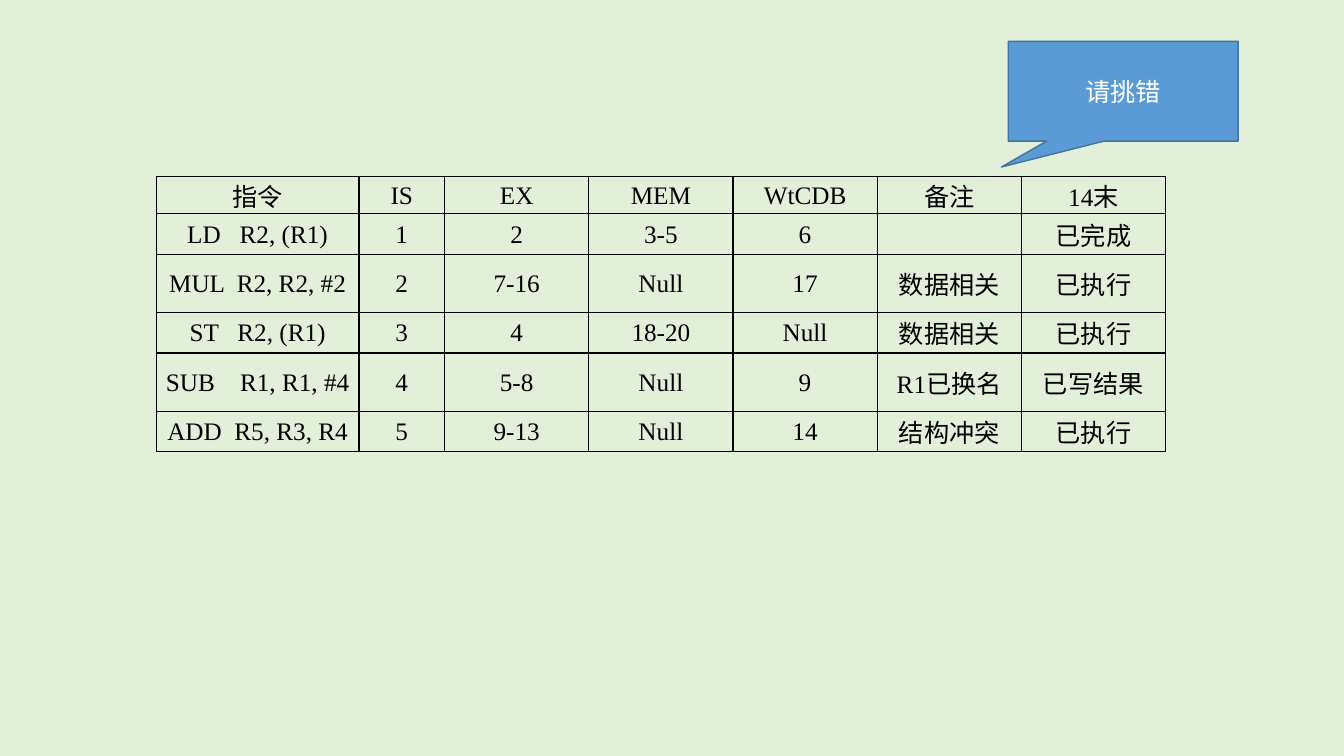
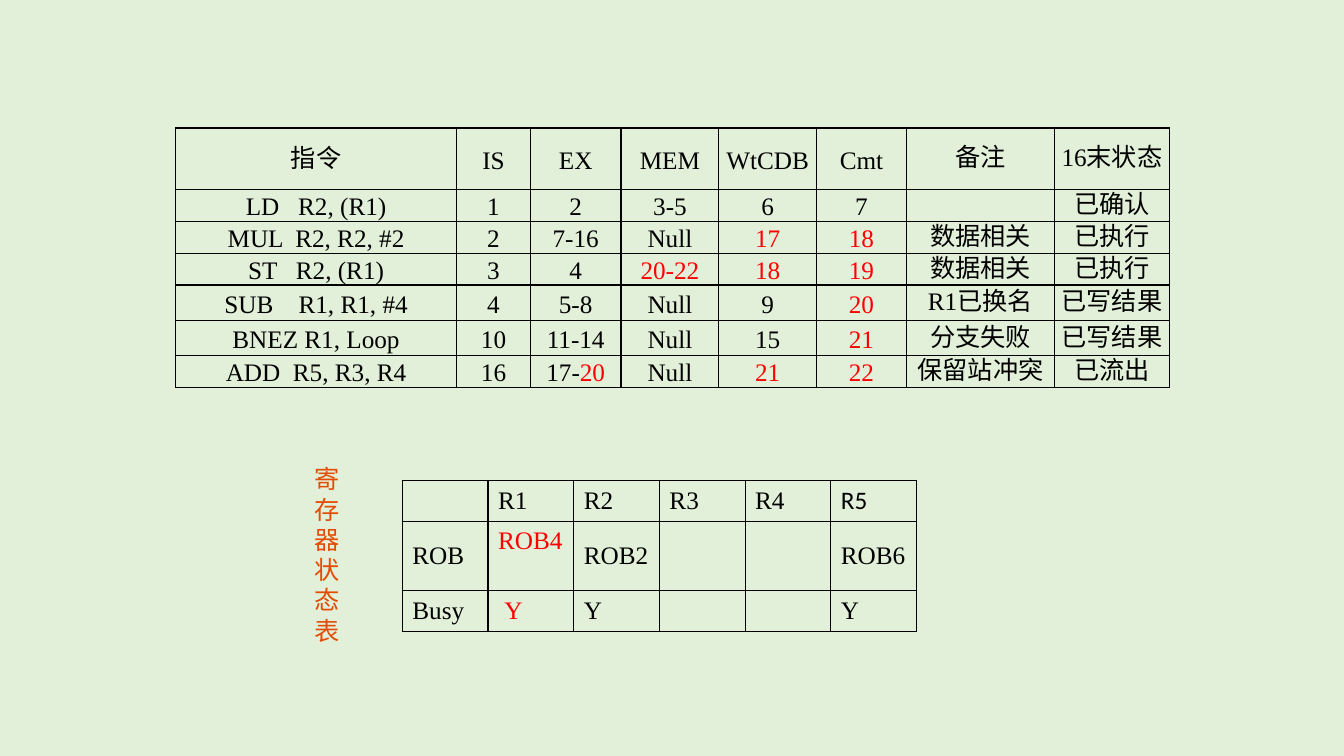
import pptx
import pptx.util
import pptx.dml.color
import pptx.enum.shapes
import pptx.enum.text
import pptx.oxml
import pptx.oxml.ns

Inches, Pt = pptx.util.Inches, pptx.util.Pt
RGBColor = pptx.dml.color.RGBColor
PP_ALIGN = pptx.enum.text.PP_ALIGN
MSO_ANCHOR = pptx.enum.text.MSO_ANCHOR

BACKGROUND = RGBColor(0xE2, 0xF0, 0xD9)
BLACK = RGBColor(0, 0, 0)
RED = RGBColor(0xFF, 0, 0)
WHITE = RGBColor(0xFF, 0xFF, 0xFF)
ORANGE = RGBColor(0xE2, 0x4C, 0x05)
BLUE = RGBColor(0x5B, 0x9B, 0xD5)
DARK_BLUE = RGBColor(0x43, 0x73, 0x9E)

SERIF, SANS, CJK = "Times New Roman", "Calibri", "Noto Sans CJK SC"
SIZE = Pt(18)
TIGHT = (0, 0, 0, 0)
NORMAL = (0.1, 0.05, 0.1, 0.05)

# In every table, text after "|" is red.
STAGES = [
    ["指令", "IS", "EX", "MEM", "WtCDB", "备注", "14末"],
    ["LD   R2, (R1)", "1", "2", "3-5", "6", "", "已完成"],
    ["MUL  R2, R2, #2", "2", "7-16", "Null", "17", "数据相关", "已执行"],
    ["ST   R2, (R1)", "3", "4", "18-20", "Null", "数据相关", "已执行"],
    ["SUB    R1, R1, #4", "4", "5-8", "Null", "9", "R1已换名", "已写结果"],
    ["ADD  R5, R3, R4", "5", "9-13", "Null", "14", "结构冲突", "已执行"],
]
COMMITS = [
    ["指令", "IS", "EX", "MEM", "WtCDB", "Cmt", "备注", "16末状态"],
    ["LD   R2, (R1)", "1", "2", "3-5", "6", "7", "", "已确认"],
    ["MUL  R2, R2, #2", "2", "7-16", "Null", "|17", "|18", "数据相关", "已执行"],
    ["ST   R2, (R1)", "3", "4", "|20-22", "|18", "|19", "数据相关", "已执行"],
    ["SUB    R1, R1, #4", "4", "5-8", "Null", "9", "|20", "R1已换名", "已写结果"],
    ["BNEZ R1, Loop", "10", "11-14", "Null", "15", "|21", "分支失败", "已写结果"],
    ["ADD  R5, R3, R4", "16", "17-|20", "Null", "|21", "|22", "保留站冲突", "已流出"],
]
REGISTERS = [
    ["", "R1", "R2", "R3", "R4", "R5"],
    ["ROB", "|ROB4", "ROB2", "", "", "ROB6"],
    ["Busy", " |Y", "Y", "", "", "Y"],
]


def style_run(r, color, font=SERIF):
    r.font.size = SIZE
    r.font.name = font
    r.font.color.rgb = color
    ea = pptx.oxml.parse_xml(
        f'<a:ea {pptx.oxml.ns.nsdecls("a")} typeface="{CJK}"/>')
    r.font._element.append(ea)


def outline_cell(cell):
    tc_pr = cell._tc.get_or_add_tcPr()
    for i, side in enumerate("LRTB"):
        tc_pr.insert(i, pptx.oxml.parse_xml(
            f'<a:ln{side} {pptx.oxml.ns.nsdecls("a")} w="{Pt(1)}">'
            f'<a:solidFill><a:srgbClr val="{BLACK}"/></a:solidFill>'
            f'</a:ln{side}>'))


def fill_cell(cell, text, align, insets, spacing):
    cell.fill.background()
    outline_cell(cell)
    cell.vertical_anchor = MSO_ANCHOR.MIDDLE
    (cell.margin_left, cell.margin_top,
     cell.margin_right, cell.margin_bottom) = map(Inches, insets)
    p = cell.text_frame.paragraphs[0]
    p.alignment = align
    p.line_spacing = spacing
    p.font.size = SIZE
    for part, color in zip(text.split("|"), (BLACK, RED)):
        if part:
            r = p.add_run()
            r.text = part
            style_run(r, color)


def add_grid(slide, left, top, widths, heights, rows, align, insets, spacing=None):
    """Add an outlined table; insets has one entry per column."""
    table = slide.shapes.add_table(
        len(heights), len(widths), Inches(left), Inches(top),
        Inches(sum(widths)), Inches(sum(heights))).table
    table.first_row = table.horz_banding = False
    for column, width in zip(table.columns, widths):
        column.width = Inches(width)
    for row, height, texts in zip(table.rows, heights, rows):
        row.height = Inches(height)
        for cell, text, inset in zip(row.cells, texts, insets):
            fill_cell(cell, text, align, inset, spacing)
    return table


def add_instruction_table(slide, left, top, widths, heights, rows, side, spacing=None):
    """Add a centred table whose last two columns have no insets."""
    insets = [(0.08, 0.01, 0.08, 0)]
    insets += [(side, 0.01, side, 0)] * (len(widths) - 3) + [TIGHT] * 2
    add_grid(slide, left, top, widths, heights, rows,
             PP_ALIGN.CENTER, insets, spacing)


def add_register_table(slide, left, top):
    table = add_grid(slide, left, top, [0.85] * 6, [0.4, 0.68, 0.4],
                     REGISTERS, PP_ALIGN.JUSTIFY, [NORMAL] * 6)
    table.cell(1, 1).vertical_anchor = MSO_ANCHOR.TOP
    table.cell(0, 5).text_frame.paragraphs[0].runs[0].font.name = SANS


def add_callout(slide, left, top, width, height, text):
    sp = slide.shapes.add_shape(
        pptx.enum.shapes.MSO_SHAPE.RECTANGULAR_CALLOUT,
        Inches(left), Inches(top), Inches(width), Inches(height))
    sp.shadow.inherit = False
    sp.adjustments[0], sp.adjustments[1] = -0.53, 0.76
    sp.fill.solid()
    sp.fill.fore_color.rgb = BLUE
    sp.line.color.rgb = DARK_BLUE
    sp.line.width = Pt(1)
    tf = sp.text_frame
    tf.text = text
    tf.vertical_anchor = MSO_ANCHOR.MIDDLE
    p = tf.paragraphs[0]
    p.alignment = PP_ALIGN.CENTER
    style_run(p.runs[0], WHITE, CJK)


def add_narrow_label(slide, left, top, width, height, text):
    """Add a label so narrow that each character wraps to its own line."""
    tf = slide.shapes.add_textbox(
        Inches(left), Inches(top), Inches(width), Inches(height)).text_frame
    tf.word_wrap = True
    tf.text = text
    p = tf.paragraphs[0]
    p.line_spacing = Pt(21.6)
    style_run(p.runs[0], ORANGE, CJK)


def build_stage_slide(slide):
    add_instruction_table(
        slide, 1.55, 1.75, [2.01, 0.85] + [1.43] * 5,
        [0.31, 0.4, 0.58, 0.4, 0.58, 0.4], STAGES, 0.08)
    add_callout(slide, 10, 0.41, 2.28, 0.99, "请挑错")


def build_commit_slide(slide):
    add_register_table(slide, 3.99, 4.77)
    add_narrow_label(slide, 3.02, 4.55, 0.59, 1.92, "寄存器状态表")
    add_instruction_table(
        slide, 1.74, 1.27, [2.79, 0.73, 0.9, 0.97, 0.97, 0.89, 1.47, 1.14],
        [0.61, 0.31, 0.31, 0.31, 0.35, 0.35, 0.31], COMMITS, 0.07, Pt(22))


def main():
    prs = pptx.Presentation()
    prs.slide_width, prs.slide_height = Inches(13.33), Inches(7.5)
    fill = prs.slide_master.background.fill
    fill.solid()
    fill.fore_color.rgb = BACKGROUND
    for build in (build_stage_slide, build_commit_slide):
        build(prs.slides.add_slide(prs.slide_layouts[6]))
    prs.save("out.pptx")


if __name__ == "__main__":
    main()
